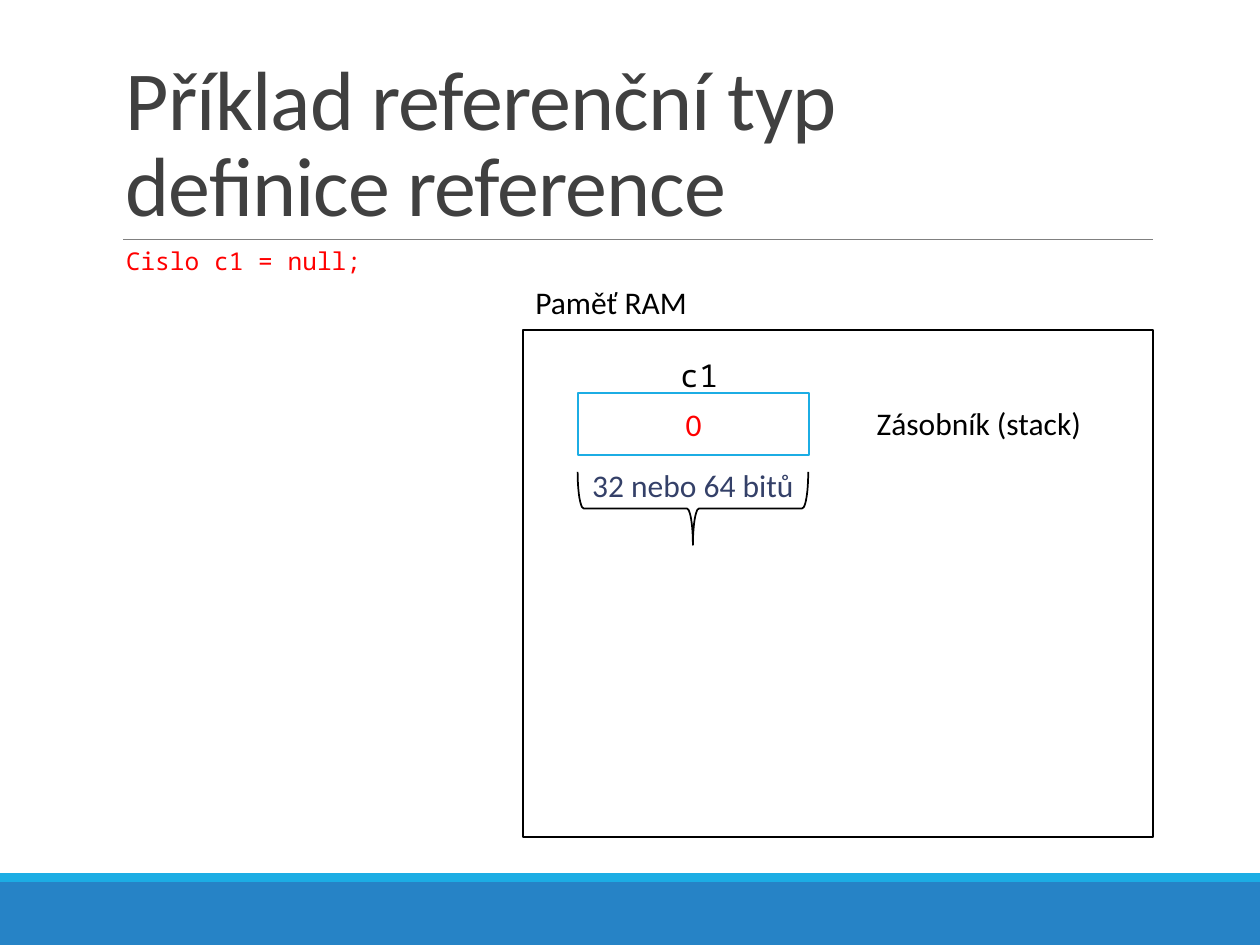
from pptx import Presentation
from pptx.dml.color import RGBColor
from pptx.enum.shapes import MSO_CONNECTOR, MSO_SHAPE
from pptx.enum.text import MSO_ANCHOR, MSO_AUTO_SIZE, PP_ALIGN
from pptx.oxml.ns import qn
from pptx.util import Inches, Pt
from lxml.etree import SubElement

SANS, MONO = "Calibri", "Noto Sans Mono"
BLACK, WHITE, RED = "000000", "FFFFFF", "FF0000"
BLUE, CYAN, NAVY = "2683C6", "1CADE4", "344068"
TITLE, GREY = "404040", "808080"


def rgb(color):
    return RGBColor.from_string(color)


class Canvas:
    def __init__(self, slide):
        self.slide = slide

    def set_text(self, p, text, color, font=SANS, size=18):
        p.text = text
        p.font.name, p.font.size = font, Pt(size)
        p.font.color.rgb = rgb(color)

    def shape(self, kind, box, fill=None, line=None, width=1.25):
        sp = self.slide.shapes.add_shape(kind, *map(Inches, box))
        sp.shadow.inherit = False
        if fill:
            sp.fill.solid()
            sp.fill.fore_color.rgb = rgb(fill)
        else:
            sp.fill.background()
        if line:
            sp.line.color.rgb = rgb(line)
            sp.line.width = Pt(width)
        else:
            sp.line.fill.background()
        return sp

    def caption(self, sp, text, color):
        tf = sp.text_frame
        tf.vertical_anchor = MSO_ANCHOR.MIDDLE
        p = tf.paragraphs[0]
        p.alignment = PP_ALIGN.CENTER
        self.set_text(p, text, color)

    def text_frame(self, box):
        tf = self.slide.shapes.add_textbox(*map(Inches, box)).text_frame
        tf.word_wrap = True
        return tf

    def label(self, box, text, color=BLACK, font=SANS, size=18):
        tf = self.text_frame(box)
        tf.auto_size = MSO_AUTO_SIZE.SHAPE_TO_FIT_TEXT
        self.set_text(tf.paragraphs[0], text, color, font, size)

    def title(self, box, text):
        tf = self.text_frame(box)
        tf.vertical_anchor = MSO_ANCHOR.BOTTOM
        p = tf.paragraphs[0]
        self.set_text(p, text, TITLE, size=48)
        p.line_spacing = 0.85
        # Tighten the letters by half a point
        for r in p.runs:
            r._r.get_or_add_rPr().set("spc", "-50")

    def rule(self, x1, x2, y, color, width):
        ends = map(Inches, (x1, y, x2, y))
        rule = self.slide.shapes.add_connector(MSO_CONNECTOR.STRAIGHT, *ends)
        rule.line.color.rgb = rgb(color)
        rule.line.width = Pt(width)
        SubElement(rule._element.spPr, qn("a:effectLst"))


def main():
    prs = Presentation()
    prs.slide_width, prs.slide_height = Inches(10), Inches(7.5)
    c = Canvas(prs.slides.add_slide(prs.slide_layouts[6]))

    # Footer bands and title
    c.shape(MSO_SHAPE.RECTANGLE, (0, 7, 10, 0.5), BLUE)
    c.shape(MSO_SHAPE.RECTANGLE, (0, 6.93, 10, 0.07), CYAN)
    c.rule(0.98, 9.15, 1.9, GREY, 0.5)
    c.title((0.9, 0.31, 8.25, 1.59), "Příklad referenční typ\vdefinice reference")

    # Memory frame
    c.shape(MSO_SHAPE.RECTANGLE, (4.15, 2.62, 5, 4.02), WHITE, BLACK)
    c.label((4.15, 2.2, 1.86, 0.4), "Paměť RAM")

    # Variable on the stack
    cell = c.shape(MSO_SHAPE.RECTANGLE, (4.59, 3.12, 1.83, 0.49), WHITE, CYAN)
    c.caption(cell, "0", RED)
    c.label((5.3, 2.78, 0.54, 0.4), "c1", font=MONO)
    c.label((6.86, 3.16, 2.1, 0.4), "Zásobník (stack)")

    # Size brace, turned to point down with upright text
    brace = c.shape(MSO_SHAPE.LEFT_BRACE, (5.21, 3.12, 0.58, 1.83), line=BLACK, width=1)
    brace.rotation = 270
    c.caption(brace, "32 nebo 64 bitů", NAVY)
    brace._element.txBody.bodyPr.set("vert", "vert")

    # Code
    c.label((0.9, 1.9, 3.12, 0.57), "Cislo c1 = null;", RED, MONO, 14)

    prs.save("out.pptx")


if __name__ == "__main__":
    main()
